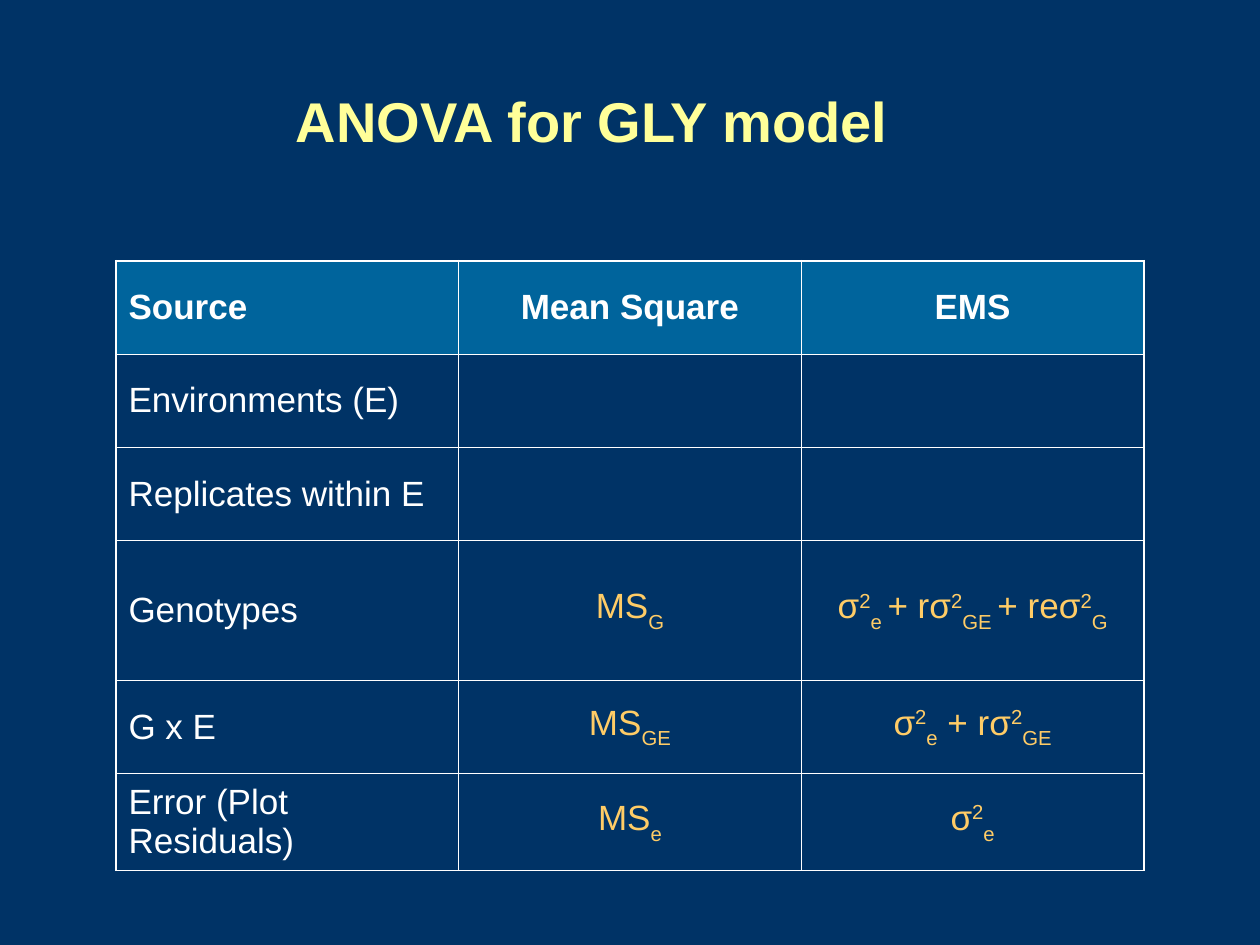
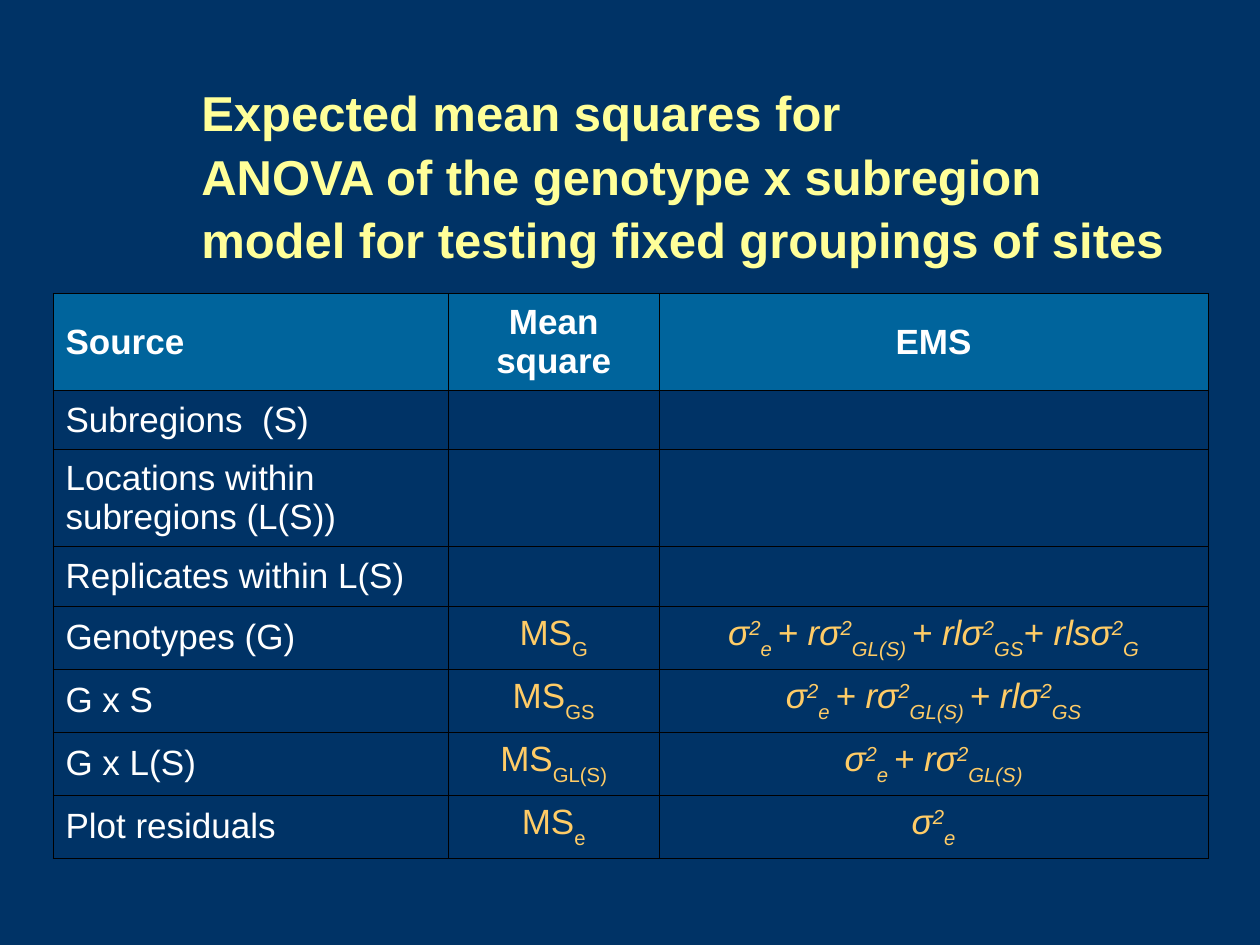
from pptx import Presentation
from pptx.dml.color import RGBColor
from pptx.enum.text import MSO_ANCHOR, PP_ALIGN
from pptx.oxml.ns import qn
from pptx.util import Inches, Pt
from lxml import etree

NAVY, TEAL, WHITE, BLACK = "003366", "00649C", "FFFFFF", "000000"
YELLOW, GOLD = "FFFF99", "FFCC66"
THIN, THICK = 0.45, 1.08
BASELINES = {"^": "30000", "_": "-30000"}

GLY_ROWS = [
    ("Source", "Mean Square", "EMS"),
    ("Environments (E)", "", ""),
    ("Replicates within E", "", ""),
    ("Genotypes", "MS|_G", "σ|^2|_e |+ rσ|^2|_GE |+ reσ|^2|_G"),
    ("G x E", "MS|_GE", "σ|^2|_e| + rσ|^2|_GE"),
    ("Error (Plot Residuals)", "MS|_e", "σ|^2|_e"),
]
SUBREGION_ROWS = [
    ("Source", "Mean square", "EMS"),
    ("Subregions  (S)", "", ""),
    ("Locations within subregions (L(S))", "", ""),
    ("Replicates within L(S)", "", ""),
    ("Genotypes (G)", "MS|_G",
     "σ|^2|_e |+ rσ|^2|_GL(S) |+ rlσ|^2|_GS|+ rlsσ|^2|_G"),
    ("G x S", "MS|_GS", "σ|^2|_e |+ rσ|^2|_GL(S) |+ rlσ|^2|_GS"),
    ("G x L(S)", "MS|_GL(S)", "σ|^2|_e |+ rσ|^2|_GL(S)"),
    ("Plot residuals", "MS|_e", "σ|^2|_e"),
]


def rgb(color):
    return RGBColor.from_string(color)


def write(p, text, size=20, color=WHITE, bold=False, italic=False, align=PP_ALIGN.LEFT):
    """Add runs parted by |; a run starting with ^ is raised, with _ lowered."""
    p.alignment = align
    for part in text.split("|"):
        baseline = BASELINES.get(part[:1])
        r = p.add_run()
        r.text = part[1:] if baseline else part
        f = r.font
        f.name, f.size, f.bold, f.italic = "Arial", Pt(size), bold, italic
        f.color.rgb = rgb(color)
        if baseline:
            r._r.get_or_add_rPr().set("baseline", baseline)


def add_title(slide, lines, left, top, width, size, spacing=1.0):
    tf = slide.shapes.add_textbox(
        Inches(left), Inches(top), Inches(width), Inches(1.25)).text_frame
    tf.word_wrap = True
    tf.vertical_anchor = MSO_ANCHOR.MIDDLE
    p = tf.paragraphs[0]
    p.line_spacing = spacing
    for i, line in enumerate(lines):
        if i:
            p.add_line_break()
        write(p, line, size=size, color=YELLOW, bold=True)


def add_border(cell, side, color, width):
    tc_pr = cell._tc.get_or_add_tcPr()
    ln = etree.SubElement(tc_pr, qn(f"a:ln{side}"), w=str(Pt(width)))
    fill = etree.SubElement(ln, qn("a:solidFill"))
    etree.SubElement(fill, qn("a:srgbClr"), val=color)


def add_anova_table(slide, rows, left, top, widths, heights, line, frame, italic_ems=False):
    """Draw a table with thin inner rules and an outer frame of the given width."""
    table = slide.shapes.add_table(
        len(rows), len(widths), Inches(left), Inches(top),
        Inches(sum(widths)), Inches(sum(heights))).table
    table.first_row = table.horz_banding = False
    for column, width in zip(table.columns, widths):
        column.width = Inches(width)
    last_row, last_col = len(rows) - 1, len(widths) - 1
    for i, (row, height) in enumerate(zip(rows, heights)):
        table.rows[i].height = Inches(height)
        for j, text in enumerate(row):
            cell = table.cell(i, j)
            cell.vertical_anchor = MSO_ANCHOR.MIDDLE
            outer = {"L": j == 0, "R": j == last_col, "T": i == 0, "B": i == last_row}
            for side, on_edge in outer.items():
                add_border(cell, side, line, frame if on_edge else THIN)
            header = i == 0
            cell.fill.solid()
            cell.fill.fore_color.rgb = rgb(TEAL if header else NAVY)
            if text:
                write(cell.text_frame.paragraphs[0], text, bold=header,
                      color=WHITE if header or j == 0 else GOLD,
                      italic=italic_ems and not header and j == last_col,
                      align=PP_ALIGN.CENTER if j else PP_ALIGN.LEFT)


def main():
    prs = Presentation()
    prs.slide_width, prs.slide_height = Inches(10), Inches(7.5)
    background = prs.slide_master.background.fill
    background.solid()
    background.fore_color.rgb = rgb(NAVY)
    blank = prs.slide_layouts[6]

    gly = prs.slides.add_slide(blank)
    add_title(gly, ["ANOVA for GLY model"], 2.25, 0.33, 7.58, size=32)
    add_anova_table(gly, GLY_ROWS, 0.92, 2.07, [2.72] * 3,
                    [0.74] * 3 + [1.11, 0.74, 0.77], line=WHITE, frame=THICK)

    subregion = prs.slides.add_slide(blank)
    add_anova_table(subregion, SUBREGION_ROWS, 0.42, 2.33, [3.14, 1.67, 4.36],
                    [0.77, 0.47] * 2 + [0.5] * 4, line=BLACK, frame=THIN,
                    italic_ems=True)
    add_title(subregion, ["Expected mean squares for ",
                          "ANOVA of the genotype x subregion ",
                          "model for testing fixed groupings of sites"],
              1.5, 0.75, 8.33, size=28, spacing=1.08)
    prs.save("out.pptx")


if __name__ == "__main__":
    main()
